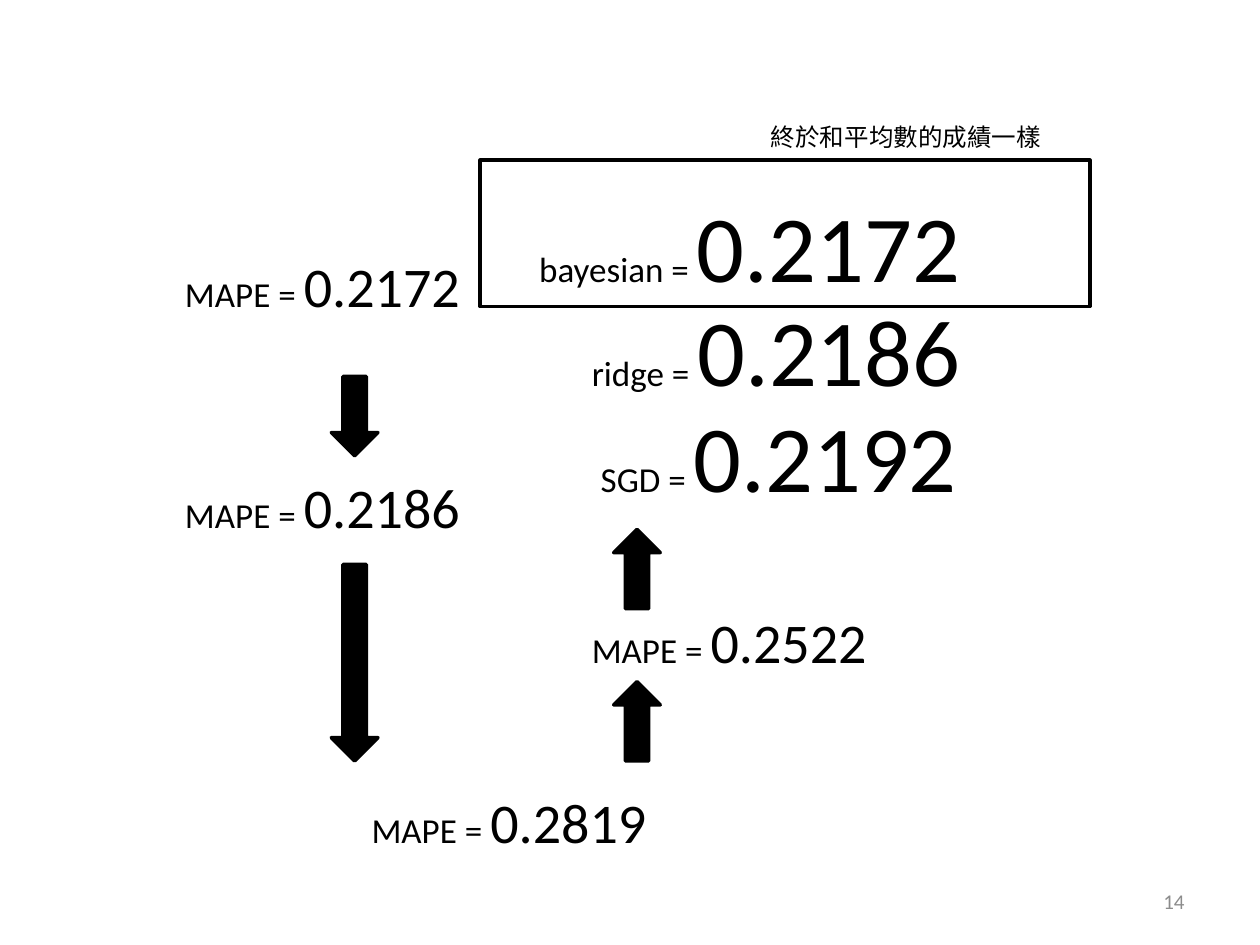
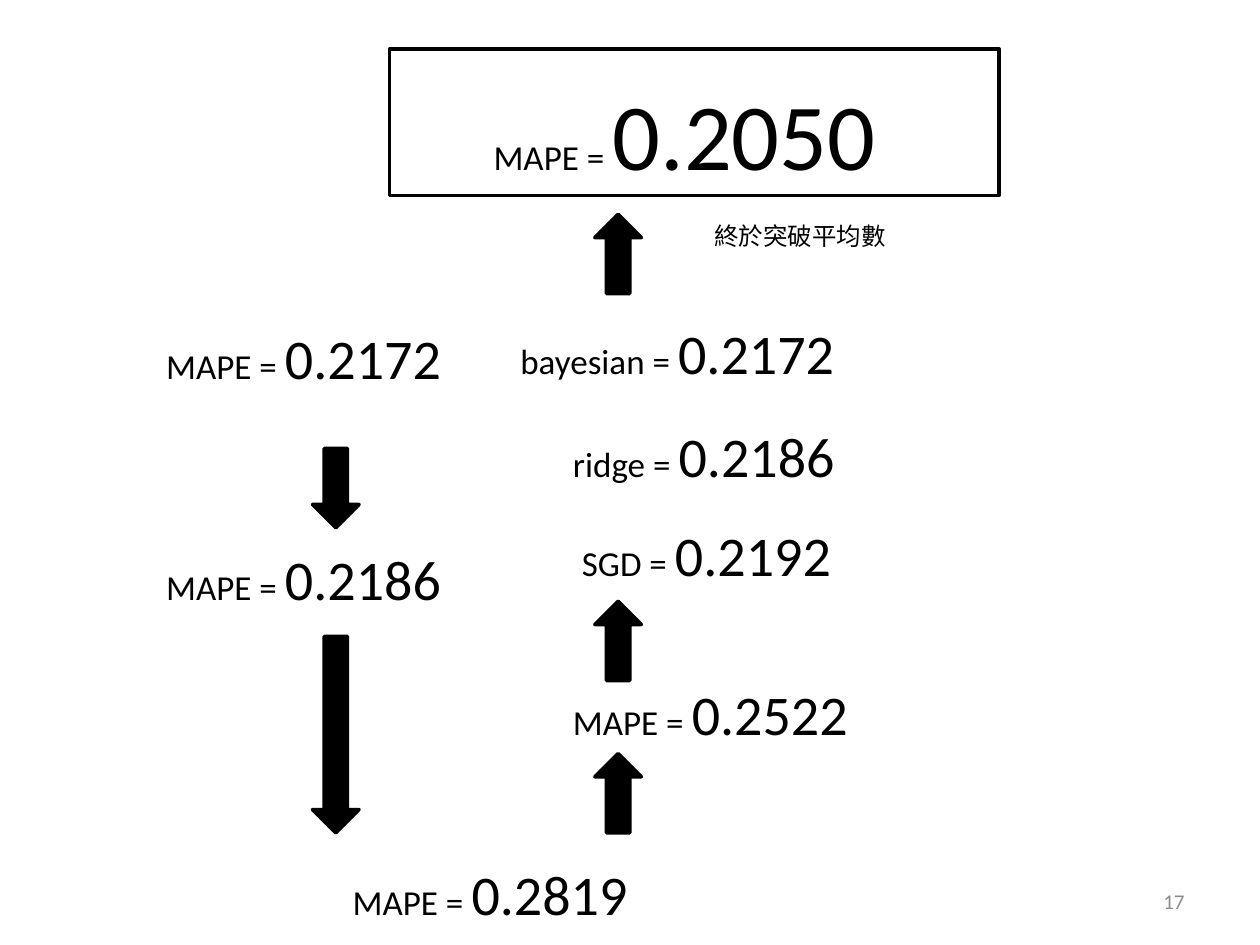
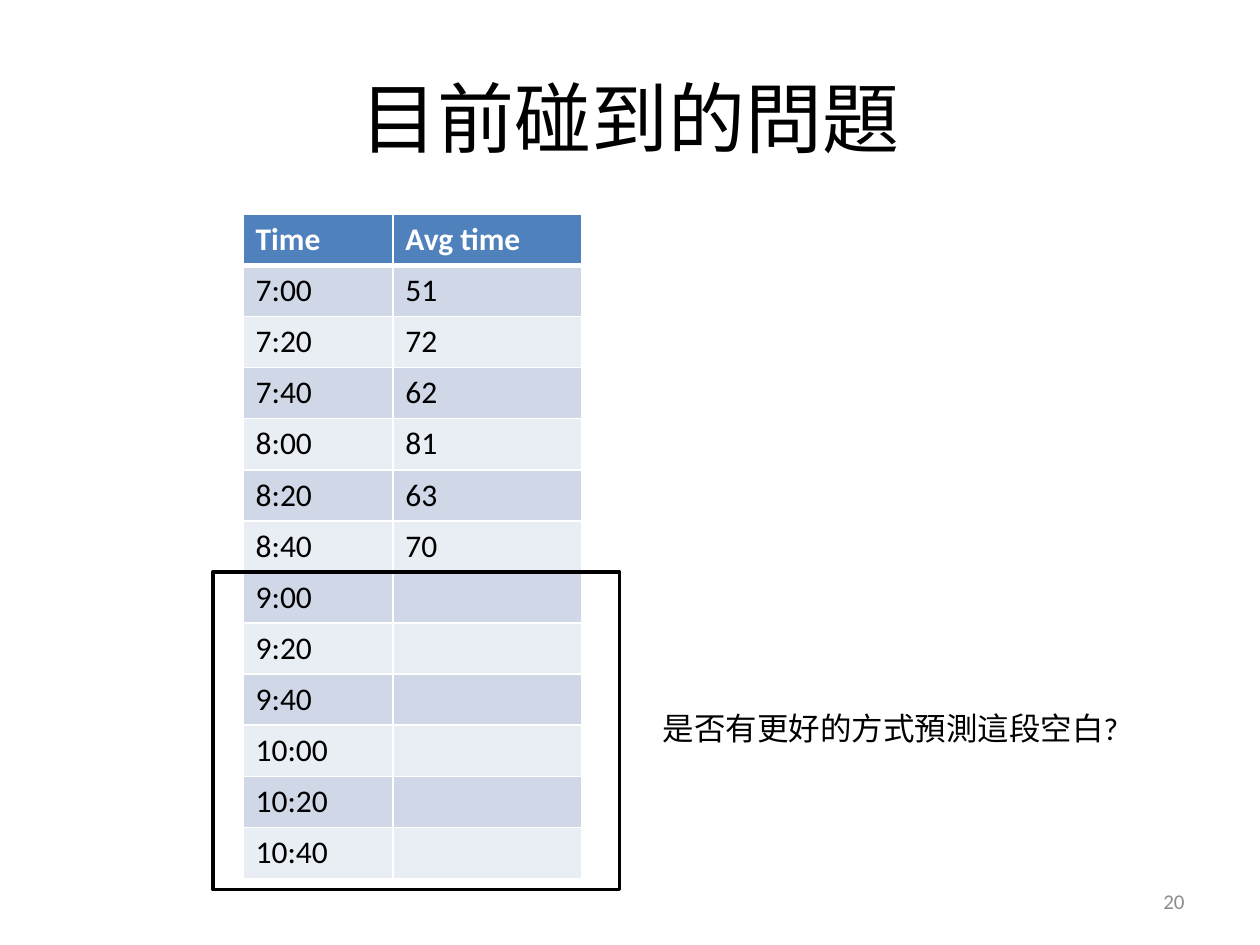
from lxml import etree
from pptx import Presentation
from pptx import util as u
from pptx.dml import color
from pptx.enum import shapes, text
from pptx.oxml import ns

BLACK, WHITE, GREY = "000000", "FFFFFF", "8C8C8C"
HEADER, BANDS = "4F81BD", ("D0D8E8", "E9EDF4")
SMALL, MEDIUM, LARGE = 20, 32, 54
LEFT, CENTER, RIGHT = text.PP_ALIGN.LEFT, text.PP_ALIGN.CENTER, text.PP_ALIGN.RIGHT


def rgb(value):
    return color.RGBColor.from_string(value)


class Deck:
    """Holds the presentation, its style and the current slide."""

    font = "Calibri"

    def __init__(self):
        self.prs = Presentation()
        self.prs.slide_width, self.prs.slide_height = u.Cm(25.4), u.Cm(19.05)

    def slide(self, number):
        self.s = self.prs.slides.add_slide(self.prs.slide_layouts[6])
        self.text(18.21, 17.65, 5.92, 1.02, [(str(number), 12)], GREY, RIGHT, middle=True)

    def runs(self, p, parts, tint=BLACK, bold=False):
        for words, size in parts:
            r = p.add_run()
            r.text = words
            r.font.name, r.font.size, r.font.bold = self.font, u.Pt(size), bold
            r.font.color.rgb = rgb(tint)

    def text(self, x, y, w, h, parts, tint=BLACK, align=LEFT, middle=False, wrap=True):
        sp = self.s.shapes.add_textbox(u.Cm(x), u.Cm(y), u.Cm(w), u.Cm(h))
        tf = sp.text_frame
        tf.word_wrap = wrap
        tf.vertical_anchor = text.MSO_ANCHOR.MIDDLE if middle else text.MSO_ANCHOR.TOP
        p = tf.paragraphs[0]
        p.alignment = align
        self.runs(p, parts, tint)

    def title(self, words):
        self.text(1.27, 0.76, 22.86, 3.18, [(words, 44)], align=CENTER, middle=True)

    def score(self, x, y, label, value, size=MEDIUM):
        height = 2.57 if size == LARGE else 1.63
        self.text(x, y, 10.29, height, [(f"{label} = ", SMALL), (value, size)])

    def shape(self, kind, x, y, w, h):
        sp = self.s.shapes.add_shape(kind, u.Cm(x), u.Cm(y), u.Cm(w), u.Cm(h))
        sp.shadow.inherit = False
        sp.line.color.rgb, sp.line.width = rgb(BLACK), u.Pt(2)
        return sp

    def frame(self, x, y, w=12.29, h=2.95):
        self.shape(shapes.MSO_SHAPE.RECTANGLE, x, y, w, h).fill.background()

    def arrow(self, x, y, h=1.6, up=False):
        sp = self.shape(shapes.MSO_SHAPE.DOWN_ARROW, x, y, 0.94, h)
        sp.fill.solid()
        sp.fill.fore_color.rgb = rgb(BLACK)
        sp.rotation = 180 if up else 0

    def borders(self, cell, bottom):
        pr = cell._tc.get_or_add_tcPr()
        for i, (side, width) in enumerate((("L", 1), ("R", 1), ("T", 1), ("B", bottom))):
            ln = etree.Element(ns.qn(f"a:ln{side}"), w=str(u.Pt(width)))
            fill = etree.SubElement(ln, ns.qn("a:solidFill"))
            etree.SubElement(fill, ns.qn("a:srgbClr"), val=WHITE)
            pr.insert(i, ln)

    def table(self, x, y, widths, row_height, rows):
        table = self.s.shapes.add_table(
            len(rows), len(widths), u.Cm(x), u.Cm(y),
            u.Cm(sum(widths)), u.Cm(row_height * len(rows))).table
        for column, width in zip(table.columns, widths):
            column.width = u.Cm(width)
        for i, row in enumerate(rows):
            table.rows[i].height = u.Cm(row_height)
            head = i == 0
            for j, words in enumerate(row):
                cell = table.cell(i, j)
                cell.fill.solid()
                cell.fill.fore_color.rgb = rgb(HEADER if head else BANDS[(i - 1) % 2])
                self.borders(cell, 3 if head or i == 0 else 1)
                if words:
                    self.runs(cell.text_frame.paragraphs[0], [(words, 18)],
                              WHITE if head else BLACK, head)

    def flow(self, dx, dy, model_tops, model_size):
        for x, y, value in ((3.48, 9.4, "0.2186"), (3.48, 4.95, "0.2172"),
                            (7.24, 15.75, "0.2819"), (11.68, 12.12, "0.2522")):
            self.score(x + dx, y + dy, "MAPE", value)
        models = ((10.62, "bayesian", "0.2172"), (11.68, "ridge", "0.2186"),
                  (11.86, "SGD", "0.2192"))
        for (x, label, value), y in zip(models, model_tops):
            self.score(x + dx, y, label, value, model_size)
        for y, h in ((7.59, 1.6), (11.38, 3.96)):
            self.arrow(6.68 + dx, y + dy, h)
        for y in (10.67, 13.74):
            self.arrow(12.37 + dx, y + dy, up=True)


deck = Deck()

deck.slide(14)
deck.flow(0, 0, (3.66, 5.77, 7.9), LARGE)
deck.text(15.29, 2.34, 5.99, 0.86, [("終於和平均數的成績一樣", 14)], wrap=False)
deck.frame(9.68, 3.23)

deck.slide(17)
deck.flow(-0.38, 1.45, (6.3, 8.38, 10.36), MEDIUM)
deck.text(14.15, 4.34, 4.01, 0.86, [("終於突破平均數", 14)], wrap=False)
deck.score(9.7, 1.4, "MAPE", "0.2050", LARGE)
deck.arrow(11.99, 4.32, up=True)
deck.frame(7.85, 0.99)

deck.slide(20)
deck.title("目前碰到的問題")
times = [f"{hour}:{minute:02}" for hour in range(7, 11) for minute in (0, 20, 40)]
averages = ["51", "72", "62", "81", "63", "70"] + [""] * 6
deck.table(4.9, 4.32, (3.02, 3.81), 1.03, [("Time", "Avg time"), *zip(times, averages)])
deck.frame(4.29, 11.53, 8.2, 6.4)
deck.text(13.11, 14.17, 9.78, 1.02, [("是否有更好的方式預測這段空白?", 18)], wrap=False)

deck.prs.save("out.pptx")
